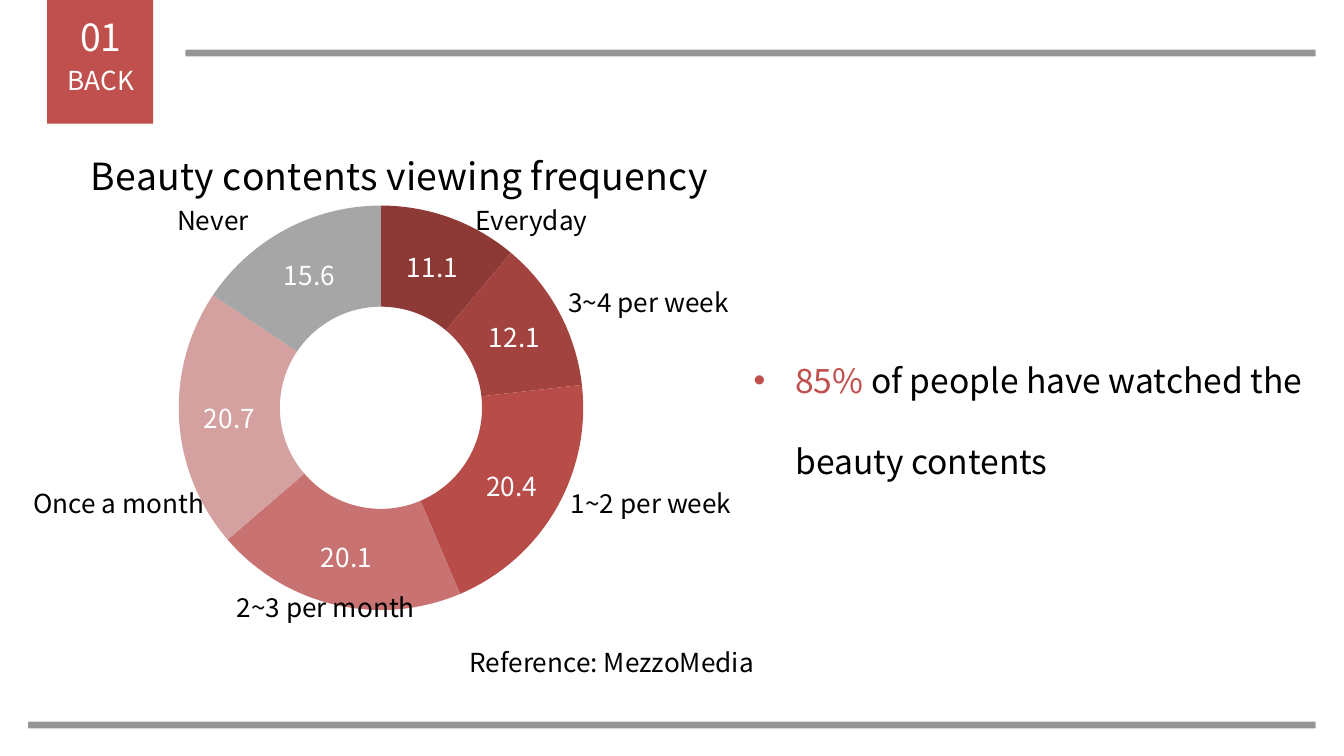
from lxml import etree
from pptx import Presentation
from pptx.chart.data import CategoryChartData
from pptx.dml.color import RGBColor
from pptx.enum import chart as charts, shapes, text
from pptx.oxml import parse_xml
from pptx.oxml.ns import nsdecls, qn
from pptx.util import Inches, Pt

FONT = "Noto Sans CJK KR"
RED = RGBColor(0xC0, 0x50, 0x4D)
GREY = RGBColor(0x80, 0x80, 0x80)
WHITE = RGBColor(0xFF, 0xFF, 0xFF)
BLACK = RGBColor(0x00, 0x00, 0x00)
RING_COLORS = [RGBColor.from_string(code) for code in
               ("8D3A37", "A34340", "B84C49", "C87371", "D5A1A0", "A6A6A6")]
FREQUENCY_VALUES = (11.1, 12.1, 20.4, 20.1, 20.7, 15.6)
# Label, left, top and width, measured from the chart's box
RING_LABELS = [
    ("Everyday", 3.47, 0.78, 1.61),
    ("3~4 per week", 4.34, 1.39, 1.61),
    ("1~2 per week", 4.36, 2.89, 1.61),
    ("2~3 per month", 1.74, 3.66, 2.01),
    ("Once a month", 0.32, 2.89, 1.77),
    ("Never", 1.34, 0.78, 1.13),
]


def style_font(font, size, color):
    font.name = FONT
    font.size = Pt(size)
    font.color.rgb = color


def add_block(slide, kind, left, top, width, height, color):
    shape = slide.shapes.add_shape(
        kind, Inches(left), Inches(top), Inches(width), Inches(height))
    shape.shadow.inherit = False
    shape.fill.solid()
    shape.fill.fore_color.rgb = color
    shape.line.fill.background()
    return shape


def add_label(slide, wording, left, top, width, height=0.34, size=14,
              color=BLACK, align=text.PP_ALIGN.CENTER):
    box = slide.shapes.add_textbox(
        Inches(left), Inches(top), Inches(width), Inches(height))
    box.text_frame.word_wrap = True
    box.text_frame.text = wording
    paragraph = box.text_frame.paragraphs[0]
    paragraph.alignment = align
    style_font(paragraph.runs[0].font, size, color)


def add_rule(slide, left, top, width):
    rule = add_block(slide, shapes.MSO_SHAPE.ROUNDED_RECTANGLE,
                     left, top, width, 0.05, GREY)
    color = rule._element.spPr.find(qn("a:solidFill"))[0]
    etree.SubElement(color, qn("a:alpha"), val="83000")


def add_section_tab(slide, left, top, width, height):
    add_block(slide, shapes.MSO_SHAPE.RECTANGLE, left, top, width, height, RED)
    text_left = left - 0.31
    add_label(slide, "01", text_left, top + 0.24, 1.42, 0.44, 20, WHITE)
    add_label(slide, "BACK", text_left, top + 0.61, 1.42, color=WHITE)


def make_layout(target, **fractions):
    """Build a manual chart layout from fractions of the chart's box."""
    inner = '<c:layoutTarget val="inner"/>' if target == "inner" else ""
    modes = '<c:xMode val="edge"/><c:yMode val="edge"/>'
    sizes = "".join(f'<c:{key} val="{value}"/>' for key, value in fractions.items())
    return parse_xml(f'<c:layout {nsdecls("c")}><c:manualLayout>'
                     f'{inner}{modes}{sizes}</c:manualLayout></c:layout>')


def replace_layout(parent, layout, position):
    for old in parent.findall(qn("c:layout")):
        parent.remove(old)
    parent.insert(position, layout)


def add_frequency_chart(slide, left, top, width, height):
    data = CategoryChartData(number_format="0.0")
    data.categories = [str(i) for i in range(1, len(FREQUENCY_VALUES) + 1)]
    data.add_series("Series 1", FREQUENCY_VALUES)
    chart = slide.shapes.add_chart(
        charts.XL_CHART_TYPE.DOUGHNUT, Inches(left), Inches(top),
        Inches(width), Inches(height), data).chart
    style_font(chart.font, 18, BLACK)
    chart.has_legend = False

    # Title
    chart.has_title = True
    title = chart.chart_title
    title.text_frame.text = "Beauty contents viewing frequency"
    title_font = title.text_frame.paragraphs[0].runs[0].font
    style_font(title_font, 20, BLACK)
    title_font.bold = False
    replace_layout(title._element, make_layout("outer", x=0.15, y=0.08), 1)

    # Ring
    plot_area = chart._chartSpace.chart.plotArea
    ring_width, ring_top = 3.01, 0.84
    replace_layout(plot_area, make_layout(
        "inner", x=1.65 / width, y=ring_top / height,
        w=ring_width / width, h=ring_width / height), 0)
    plot = chart.plots[0]
    plot.vary_by_categories = True
    for index, color in enumerate(RING_COLORS):
        point_format = plot.series[0].points[index].format
        point_format.fill.solid()
        point_format.fill.fore_color.rgb = color
        point_format.line.fill.background()

    # Values
    labels = plot.series[0].data_labels
    labels.show_value = True
    labels.show_percentage = False
    labels.show_category_name = False
    labels.show_legend_key = False
    style_font(labels.font, 14, WHITE)

    # Category names around the ring
    for wording, x, y, label_width in RING_LABELS:
        add_label(slide, wording, left + x, top + y, label_width)


def add_finding(slide, left, top, width, height):
    box = slide.shapes.add_textbox(
        Inches(left), Inches(top), Inches(width), Inches(height))
    box.text_frame.word_wrap = True
    paragraph = box.text_frame.paragraphs[0]
    paragraph.line_spacing = 2.0
    properties = paragraph._p.get_or_add_pPr()
    properties.set("marL", str(Inches(0.31)))
    properties.set("indent", str(-Inches(0.31)))
    etree.SubElement(properties, qn("a:buFont"), typeface="Arial")
    etree.SubElement(properties, qn("a:buChar"), char="•")
    for wording, color in (("85% ", RED),
                           ("of people have watched the beauty contents", BLACK)):
        run = paragraph.add_run()
        run.text = wording
        style_font(run.font, 18, color)


def main():
    presentation = Presentation()
    presentation.slide_width = Inches(10)
    presentation.slide_height = Inches(10 * 9 / 16)
    slide = presentation.slides.add_slide(presentation.slide_layouts[6])

    # Frame
    add_rule(slide, 0.21, 5.37, 9.58)
    add_rule(slide, 1.38, 0.37, 8.41)
    add_section_tab(slide, 0.35, -0.18, 0.79, 1.1)

    # Content
    add_label(slide, "Reference: MezzoMedia", 3.23, 4.76, 2.48,
              align=text.PP_ALIGN.RIGHT)
    add_frequency_chart(slide, -0.32, 0.69, 6.29, 3.99)
    add_finding(slide, 5.51, 2.33, 4.3, 1.31)

    presentation.save("out.pptx")


if __name__ == "__main__":
    main()
